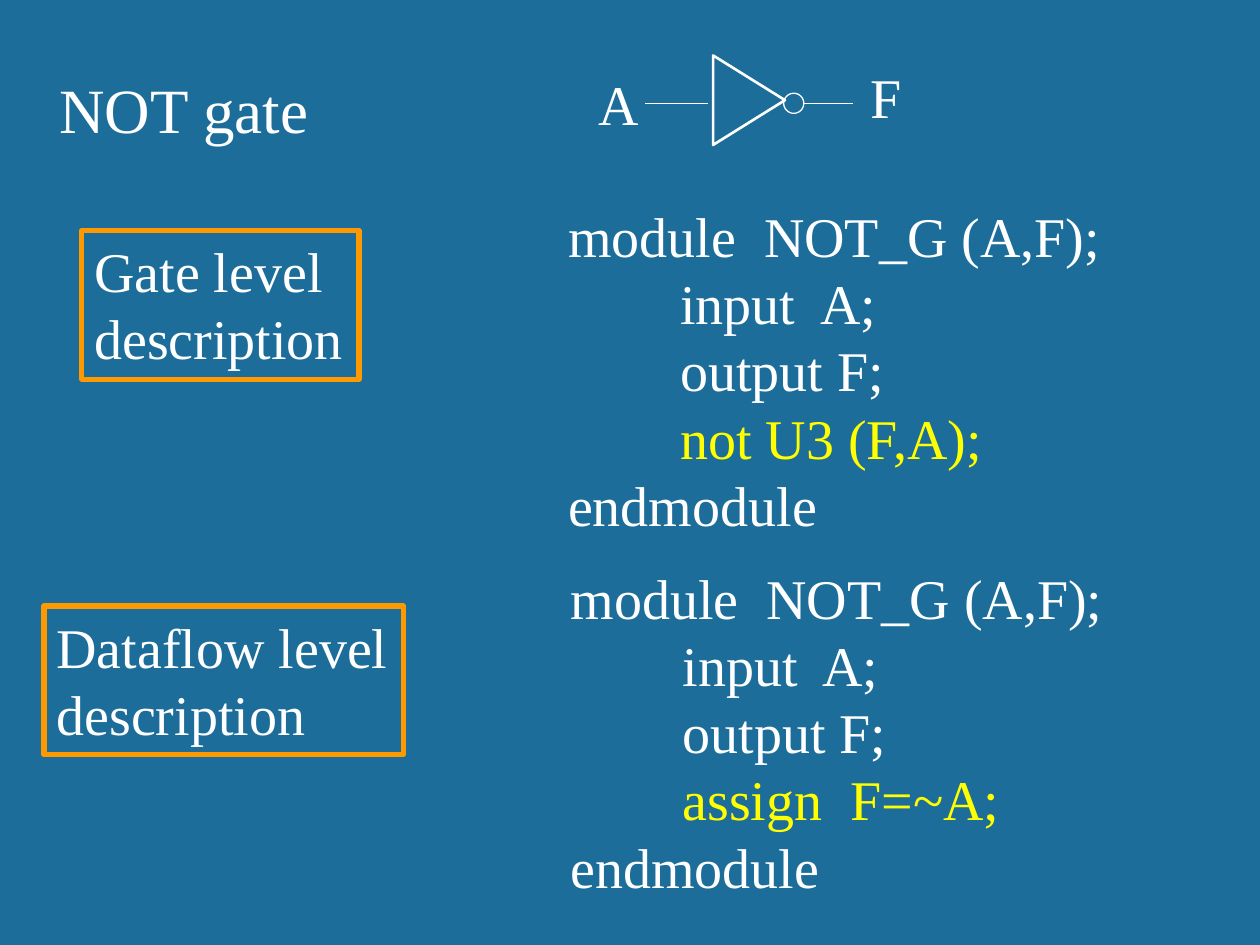
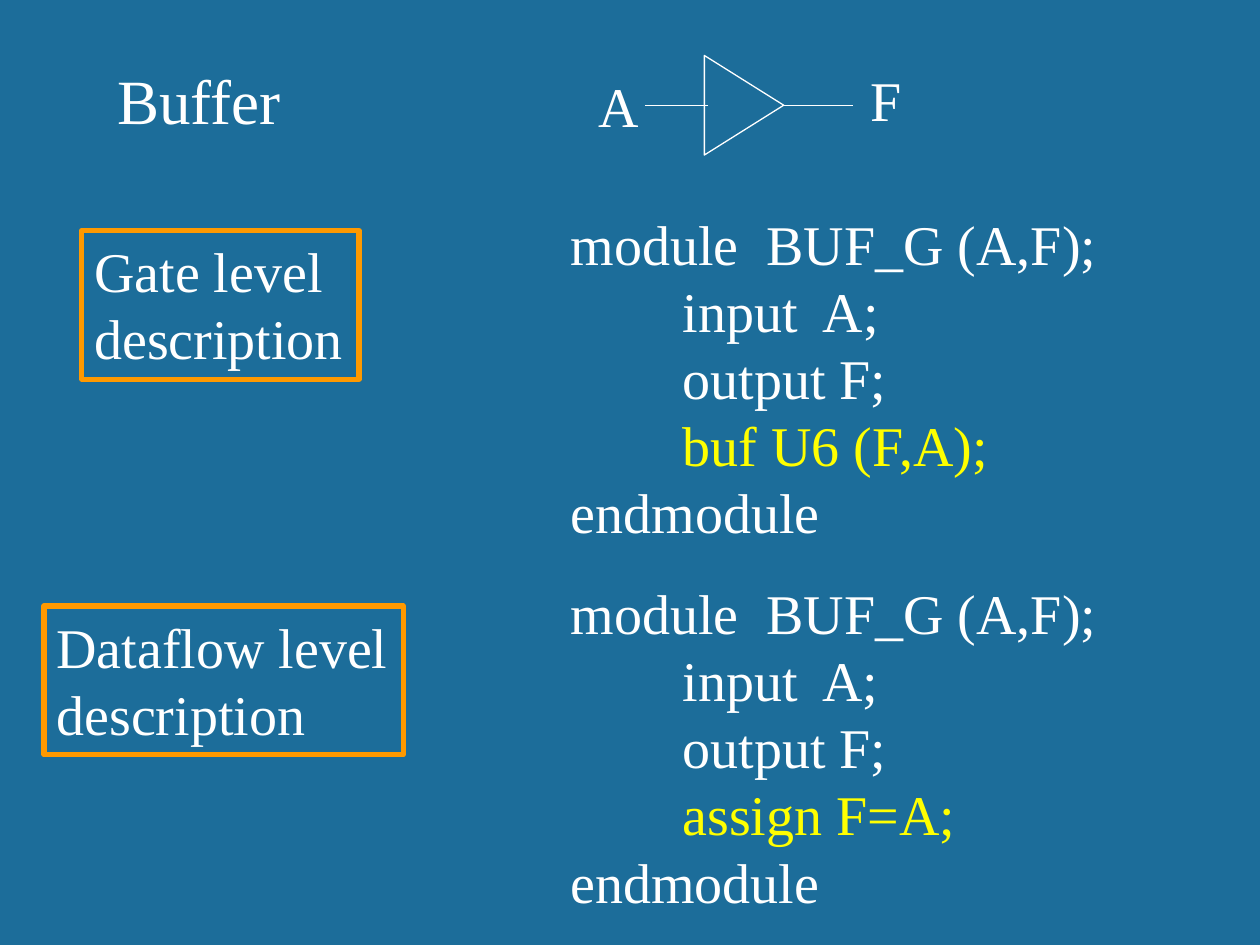
import pptx
import pptx.dml.color
import pptx.enum.shapes
import pptx.enum.text
import pptx.util
from lxml import etree
from pptx.util import Inches

FONT = "Times New Roman"
BACKGROUND, WHITE, YELLOW, ORANGE = "1C6D9A", "FFFFFF", "FFFF00", "FF9900"
INDENT = " " * 8
TITLE_ONLY = 5
SHAPE = pptx.enum.shapes.MSO_SHAPE


def paint(colour_format, colour):
    colour_format.rgb = pptx.dml.color.RGBColor.from_string(colour)


def outline(item, colour, width):
    paint(item.line.color, colour)
    item.line.width = pptx.util.Pt(width)


def write(frame, lines, size=32, colour=WHITE, wrap=True, highlight=None):
    frame.word_wrap = wrap
    frame.auto_size = pptx.enum.text.MSO_AUTO_SIZE.NONE
    frame.vertical_anchor = pptx.enum.text.MSO_ANCHOR.TOP
    for index, line in enumerate(lines):
        paragraph = frame.paragraphs[0] if index == 0 else frame.add_paragraph()
        paragraph.alignment = pptx.enum.text.PP_ALIGN.LEFT
        run = paragraph.add_run()
        run.text = line
        run.font.name = FONT
        run.font.size = pptx.util.Pt(size)
        paint(run.font.color, YELLOW if index == highlight else colour)


def add_text(shapes, box, lines, **style):
    text = shapes.add_textbox(*map(Inches, box))
    write(text.text_frame, lines, **style)
    return text


def add_title(slide, box, name):
    title = slide.shapes.title
    title.left, title.top, title.width, title.height = map(Inches, box)
    write(title.text_frame, [name], size=36, wrap=False)


def add_level_label(slide, box, level):
    label = add_text(slide.shapes, box, [level, "description"])
    outline(label, ORANGE, 3)


def add_module(slide, box, name, statement):
    lines = [f"module  {name} (A,F);", INDENT + "input  A;",
             INDENT + "output F;", INDENT + statement, "endmodule"]
    add_text(slide.shapes, box, lines, highlight=3)


def add_wire(shapes, start, end, y):
    wire = shapes.add_connector(pptx.enum.shapes.MSO_CONNECTOR.STRAIGHT,
                                Inches(start), Inches(y), Inches(end), Inches(y))
    outline(wire, WHITE, 0.75)
    properties = wire.element.spPr
    etree.SubElement(properties, pptx.oxml.ns.qn("a:effectLst"))


def add_symbol(shapes, kind, box, width):
    symbol = shapes.add_shape(kind, *map(Inches, box))
    symbol.shadow.inherit = False
    symbol.fill.background()
    outline(symbol, WHITE, width)
    return symbol


def add_gate(slide, left, top, triangle, triangle_line, inverted):
    gate = slide.shapes.add_group_shape().shapes
    wire_y = top + 0.37
    bubble = 0.16
    bubble_left = left + 1.57
    add_wire(gate, left + 0.97, left + 0.47, wire_y)
    add_wire(gate, bubble_left + (bubble if inverted else 0), left + 2.12, wire_y)
    add_text(gate, (left + 2.16, top, 0.45, 0.64), ["F"], wrap=False)
    add_text(gate, (left, top + 0.05, 0.53, 0.64), ["A"], wrap=False)
    if inverted:
        add_symbol(gate, SHAPE.OVAL,
                   (bubble_left, wire_y - bubble / 2, bubble, bubble), 0.75)
    x, y, width, height = triangle
    body = add_symbol(gate, SHAPE.ISOSCELES_TRIANGLE,
                      (left + x, top + y, width, height), triangle_line)
    body.rotation = 90


def add_gate_slide(deck, title, title_box, gate_top, triangle, triangle_line,
                   inverted, module, primitive, assignment, code_places):
    slide = deck.slides.add_slide(deck.slide_layouts[TITLE_ONLY])
    for (left, top, width), statement in zip(code_places, (primitive, assignment)):
        add_module(slide, (left, top, width, 2.79), module, statement)
    add_gate(slide, 4.65, gate_top, triangle, triangle_line, inverted)
    add_title(slide, title_box, title)
    add_level_label(slide, (0.65, 1.83, 2.2, 1.18), "Gate level")
    add_level_label(slide, (0.35, 4.81, 2.85, 1.18), "Dataflow level")


def main():
    deck = pptx.Presentation()
    deck.slide_width, deck.slide_height = Inches(10), Inches(7.5)
    background = deck.slide_master.background.fill
    background.solid()
    paint(background.fore_color, BACKGROUND)

    add_gate_slide(deck, "NOT gate", (0.37, 0.51, 2.32, 0.71), gate_top=0.45,
                   triangle=(0.94, 0.06, 0.71, 0.57), triangle_line=1.5,
                   inverted=True, module="NOT_G", primitive="not U3 (F,A);",
                   assignment="assign  F=~A;",
                   code_places=[(4.41, 1.55, 5.59), (4.43, 4.42, 6.3)])
    add_gate_slide(deck, "Buffer", (0.83, 0.44, 1.51, 0.71), gate_top=0.47,
                   triangle=(0.86, 0.05, 0.79, 0.63), triangle_line=0.75,
                   inverted=False, module="BUF_G", primitive="buf U6 (F,A);",
                   assignment="assign F=A;",
                   code_places=[(4.43, 1.61, 5.59), (4.43, 4.54, 6.3)])
    deck.save("out.pptx")


if __name__ == "__main__":
    main()
